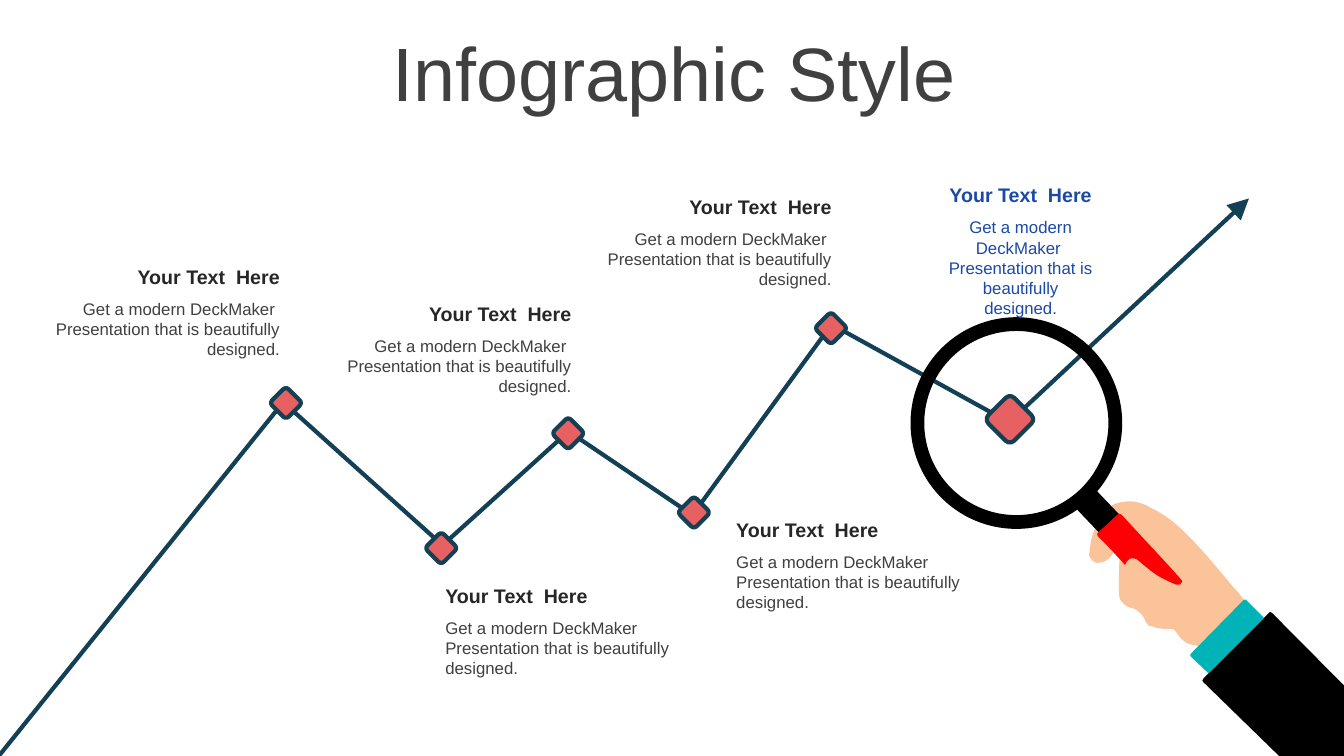
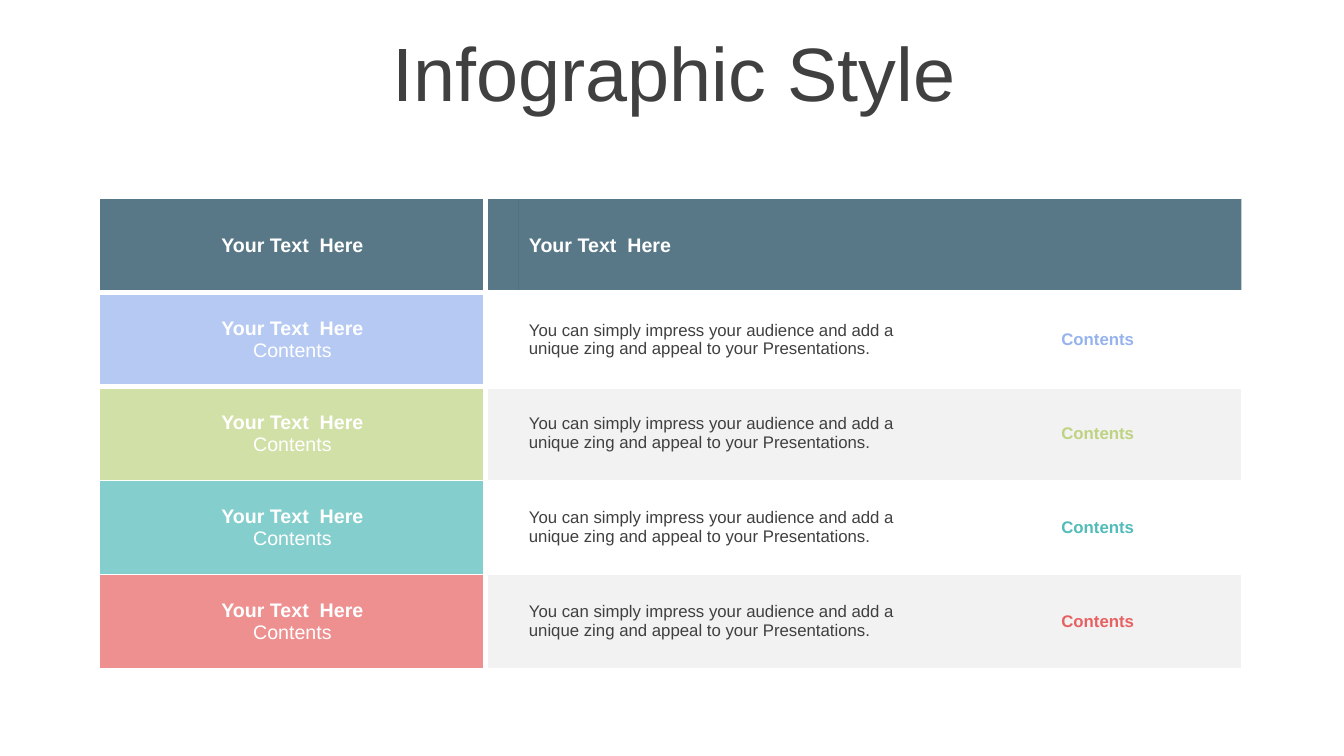
from lxml import etree
from pptx import Presentation
from pptx import util as u
from pptx.dml import color
from pptx.enum import shapes, text
from pptx.oxml import ns

COLORS = {
    "navy": "134055", "coral": "E86162", "blue": "96B3EE", "green": "BED381",
    "teal": "51BCB9", "royal": "1B49A7", "title": "404040", "heading": "262626",
    "white": "FFFFFF", "gray": "F2F2F2", "skin": "FBC39A", "black": "000000",
    "cuff": "00B3B6", "grip": "FE0004",
}
FONT = "Arial"
HEADING = "Your Text  Here"
ALIGN = text.PP_ALIGN


def add_text(paragraph, words, size, color_name, bold=False, align=ALIGN.LEFT):
    paragraph.alignment = align
    run = paragraph.add_run()
    run.text = words
    run.font.name = FONT
    run.font.size = u.Pt(size)
    run.font.bold = bold
    run.font.color.rgb = color.RGBColor.from_string(COLORS[color_name])


def add_outline(slide, start, steps, close=True):
    builder = slide.shapes.build_freeform(u.Pt(start[0]), u.Pt(start[1]), scale=1.0)
    builder.add_line_segments([(u.Pt(step[-2]), u.Pt(step[-1])) for step in steps], close=close)
    shape = builder.convert_to_shape()
    shape.shadow.inherit = False
    segments = list(shape._element.iter(ns.qn("a:lnTo")))
    for segment, step in zip(segments, steps):
        if len(step) == 6:
            curve = etree.Element(ns.qn("a:cubicBezTo"))
            for x, y in zip(step[::2], step[1::2]):
                etree.SubElement(curve, ns.qn("a:pt"), x=str(u.Pt(x) - shape.left),
                                 y=str(u.Pt(y) - shape.top))
            segment.getparent().replace(segment, curve)
    return shape


presentation = Presentation()
presentation.slide_width = u.Pt(960)
presentation.slide_height = u.Pt(540)

slides = []
for _ in range(2):
    slide = presentation.slides.add_slide(presentation.slide_layouts[5])
    title = slide.shapes.title
    title.left, title.top = u.Pt(25.8), u.Pt(26.6)
    title.width, title.height = u.Pt(911.5), u.Pt(56.9)
    title.text_frame.auto_size = text.MSO_AUTO_SIZE.NONE
    title.text_frame.vertical_anchor = text.MSO_ANCHOR.MIDDLE
    paragraph = title.text_frame.paragraphs[0]
    paragraph.line_spacing = 0.9
    add_text(paragraph, "Infographic Style", 54, "title", align=ALIGN.CENTER)
    slides.append(slide)
trend_slide, table_slide = slides

trend = add_outline(trend_slide, (-1.4, 540.7), [
    (202.3, 287.3), (316.1, 389.5), (406.1, 308.2), (494.6, 367.9),
    (594, 231.8), (720.7, 301.7), (892.1, 141.8),
], close=False)
trend.fill.background()
trend.line.color.rgb = color.RGBColor.from_string(COLORS["navy"])
trend.line.width = u.Pt(3)
line = trend._element.spPr.find(ns.qn("a:ln"))
etree.SubElement(line, ns.qn("a:tailEnd"), type="triangle", w="lg", len="lg")

for x, y, size in [
    (204.3, 287.8, 16.6), (405.9, 309.5, 16.6), (593.6, 234.4, 16.6),
    (721.4, 299.5, 26), (315.2, 391.5, 16.6), (495.7, 366.1, 16.6),
]:
    marker = trend_slide.shapes.add_shape(
        shapes.MSO_SHAPE.ROUNDED_RECTANGLE,
        u.Pt(x - size / 2), u.Pt(y - size / 2), u.Pt(size), u.Pt(size))
    marker.rotation = 315
    marker.shadow.inherit = False
    marker.fill.solid()
    marker.fill.fore_color.rgb = color.RGBColor.from_string(COLORS["coral"])
    marker.line.color.rgb = color.RGBColor.from_string(COLORS["navy"])
    marker.line.width = u.Pt(3)

hand = [
    (886.3, 425.5, 884.2, 422.6, 881.3, 419.8),
    (869.8, 406.1, 858.2, 391.7, 844.6, 378.7),
    (838.1, 372.2, 830.2, 366.5, 820.8, 362.2),
    (819.4, 360.7, 816.5, 360, 814.3, 359.3),
    (810, 357.8, 805.7, 357.8, 801.4, 358.6),
    (798.5, 359.3, 794.9, 360, 792.7, 362.2),
    (789.8, 365, 785.5, 368.6, 781.9, 378),
    (779.8, 383, 779, 388.1, 778.3, 393.8),
    (777.6, 395.3, 777.6, 397.4, 779, 398.9),
    (781.2, 401.8, 783.4, 402.5, 786.2, 401.8),
    (788.4, 401.8, 792, 399.6, 793.4, 397.4),
    (794.2, 396.7, 794.9, 395.3, 795.6, 394.6),
    (797, 396, 798.5, 398.2, 799.9, 399.6),
    (799.2, 399.6, 799.2, 421.9, 799.2, 424.8),
    (799.9, 427, 799.9, 429.1, 802.1, 430.6),
    (802.8, 431.3, 804.2, 432.7, 805.7, 433.4),
    (806.4, 434.2, 807.1, 434.2, 808.6, 434.2),
    (812.2, 435.6, 815, 437.8, 817.2, 441.4),
    (817.9, 442.8, 818.6, 445, 820.1, 446.4),
    (820.1, 447.1, 821.5, 447.1, 822.2, 447.1),
    (826.6, 449.3, 831.6, 449.3, 836.6, 449.3),
    (838.1, 449.3, 838.8, 450, 839.5, 450.7),
    (841.7, 453.6, 844.6, 458.6, 849.6, 460.1),
    (851.8, 460.8, 853.9, 460.8, 856.1, 461.5),
]
sleeve = [
    (907.9, 437, 907.9, 437, 908.6, 437.8), (960, 489.6), (960, 540),
    (913.7, 540), (859.7, 487.4),
    (859, 486.7, 858.2, 486, 859.7, 484.6), (906.5, 437.8),
]
cuff = [(889.9, 428.4), (902.9, 441.4), (863.3, 481), (850.3, 468.7), (850.3, 467.3)]
handle = [(799.2, 367.2), (784.8, 380.2), (766, 360.5)]
grip = [
    (783.4, 381.6, 783.4, 380.9, 784.8, 380.2), (797.8, 367.9),
    (799.9, 366.5, 799.9, 366.5, 802.1, 368.6),
    (815.8, 383.8, 845.3, 414.7, 844.6, 415.4),
    (843.1, 417.6, 841.7, 418.3, 840.2, 417.6),
    (833, 414.7, 825.8, 411.1, 820.1, 406.1),
    (817.2, 403.9, 815, 401.8, 812.2, 399.6),
    (809.3, 398.2, 807.1, 398.2, 805, 401),
    (803.5, 403.9, 803.5, 403.9, 802.1, 401.8),
    (801.4, 401, 787.7, 385.9, 784.1, 383),
]
lens = trend_slide.shapes.add_shape(
    shapes.MSO_SHAPE.DONUT, u.Pt(650.4), u.Pt(226.6), u.Pt(151.2), u.Pt(151.2))
lens.adjustments[0] = 0.065
lens.shadow.inherit = False
magnifier_parts = [(lens, "black")]
for start, steps, color_name in [
    ((888.5, 428.4), hand, "skin"),
    ((907.2, 437), sleeve, "black"),
    ((888.5, 428.4), cuff, "cuff"),
    ((780.4, 347.5), handle, "black"),
    ((784.1, 383), grip, "grip"),
]:
    magnifier_parts.append((add_outline(trend_slide, start, steps), color_name))
for shape, color_name in magnifier_parts:
    shape.fill.solid()
    shape.fill.fore_color.rgb = color.RGBColor.from_string(COLORS[color_name])
    shape.line.fill.background()

description = "Get a modern DeckMaker  Presentation that is beautifully designed."
for left, top, width, align, heading_color, body_color in [
    (17, 185.4, 190, ALIGN.RIGHT, "heading", "title"),
    (225.2, 211.7, 190, ALIGN.RIGHT, "heading", "title"),
    (411.1, 135.4, 190, ALIGN.RIGHT, "heading", "title"),
    (311, 413, 190, ALIGN.LEFT, "heading", "title"),
    (518.8, 365.8, 190, ALIGN.LEFT, "heading", "title"),
    (668.2, 127, 121.7, ALIGN.CENTER, "royal", "royal"),
]:
    for words, offset, height, size, color_name, bold, anchor in [
        (HEADING, 0, 24.5, 14, heading_color, True, text.MSO_ANCHOR.MIDDLE),
        (description, 24.5, 51, 12, body_color, False, text.MSO_ANCHOR.TOP),
    ]:
        box = trend_slide.shapes.add_textbox(
            u.Pt(left), u.Pt(top + offset), u.Pt(width), u.Pt(height))
        box.text_frame.word_wrap = True
        box.text_frame.auto_size = text.MSO_AUTO_SIZE.SHAPE_TO_FIT_TEXT
        box.text_frame.vertical_anchor = anchor
        add_text(box.text_frame.paragraphs[0], words, size, color_name, bold, align)

column_widths = [275.8, 23.8, 288.7, 22.3, 205.2]
row_height = 67.1
row_colors = ["navy", "blue", "green", "teal", "coral"]
table = table_slide.shapes.add_table(
    5, 5, u.Pt(71), u.Pt(141.9), u.Pt(sum(column_widths)), u.Pt(5 * row_height)).table
table.first_row = table.horz_banding = False
style = table._tbl.tblPr.find(ns.qn("a:tableStyleId"))
style.text = "{2D5ABB26-0587-4C30-8999-92F81FD0307C}"
for column, width in zip(table.columns, column_widths):
    column.width = u.Pt(width)
for row in table.rows:
    row.height = u.Pt(row_height)
table.cell(0, 2).merge(table.cell(0, 4))

vertical_borders = [1, 4.5, 0, 0, 0, 1]
horizontal_borders = [1, 4.5, 4.5, 1, 1, 1]
for row_index, color_name in enumerate(row_colors):
    for column_index in range(5):
        cell = table.cell(row_index, column_index)
        cell.vertical_anchor = text.MSO_ANCHOR.MIDDLE
        properties = cell._tc.get_or_add_tcPr()
        for side, width in [
            ("L", vertical_borders[column_index]),
            ("R", vertical_borders[column_index + 1]),
            ("T", horizontal_borders[row_index]),
            ("B", horizontal_borders[row_index + 1]),
        ]:
            border = etree.SubElement(properties, ns.qn("a:ln" + side), w=str(u.Pt(width)))
            if width:
                fill = etree.SubElement(border, ns.qn("a:solidFill"))
                etree.SubElement(fill, ns.qn("a:srgbClr"), val=COLORS["white"])
            else:
                etree.SubElement(border, ns.qn("a:noFill"))
        tinted = row_index == 0 or column_index == 0
        plain = "white" if row_index % 2 else "gray"
        cell.fill.solid()
        cell.fill.fore_color.rgb = color.RGBColor.from_string(
            COLORS[color_name if tinted else plain])
        if tinted:
            swatch = properties.find(ns.qn("a:solidFill"))[0]
            etree.SubElement(swatch, ns.qn("a:alpha"), val="70000")

    label = table.cell(row_index, 0).text_frame
    add_text(label.paragraphs[0], HEADING, 14, "white", True, ALIGN.CENTER)
    middle = table.cell(row_index, 2).text_frame.paragraphs[0]
    if row_index == 0:
        add_text(middle, HEADING, 14, "white", True)
        continue
    add_text(label.add_paragraph(), "Contents", 14, "white", align=ALIGN.CENTER)
    add_text(middle, "You can simply impress your audience and add a unique zing "
             "and appeal to your Presentations.", 12, "title")
    add_text(table.cell(row_index, 4).text_frame.paragraphs[0],
             "Contents", 12, color_name, True, ALIGN.CENTER)

presentation.save("out.pptx")
